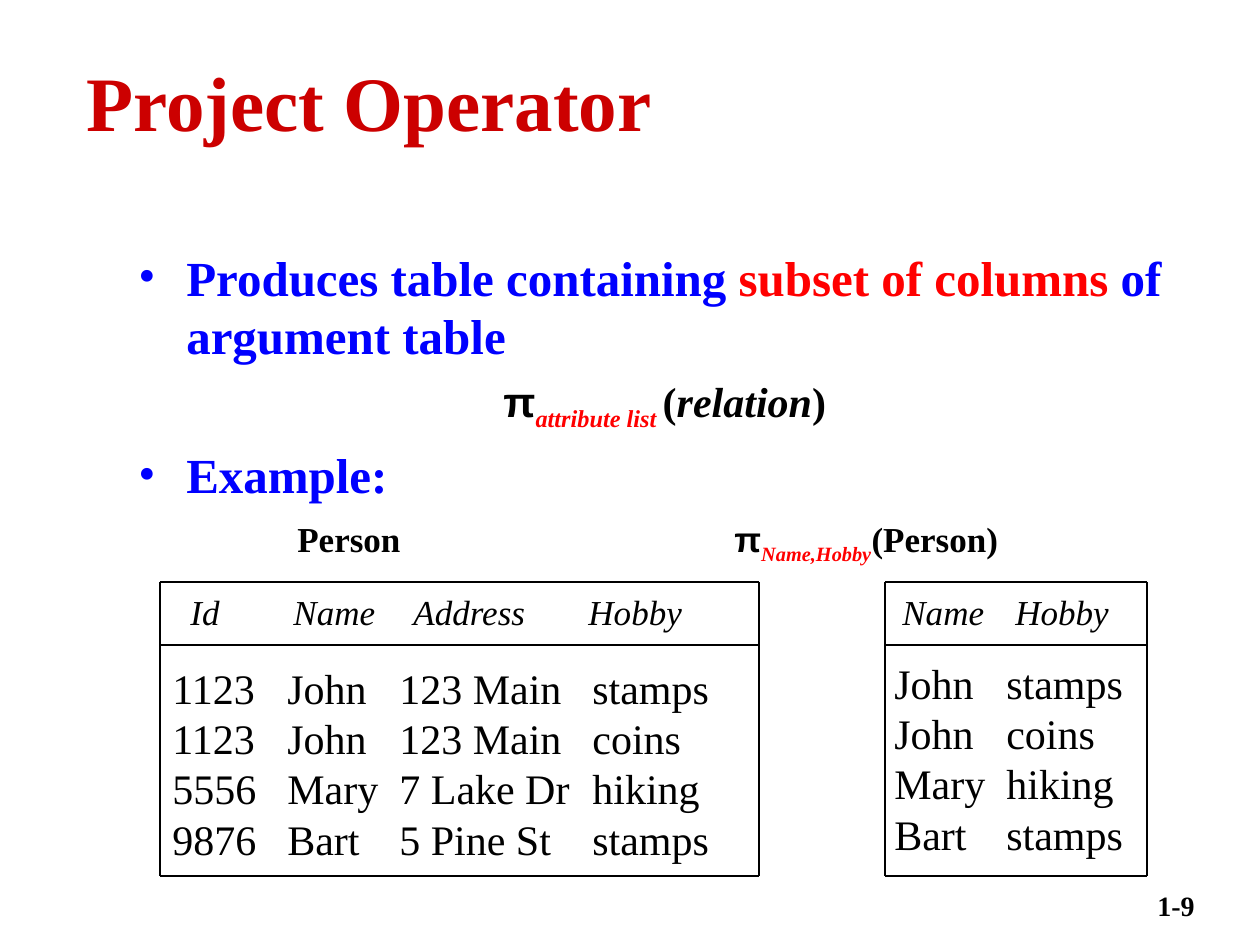
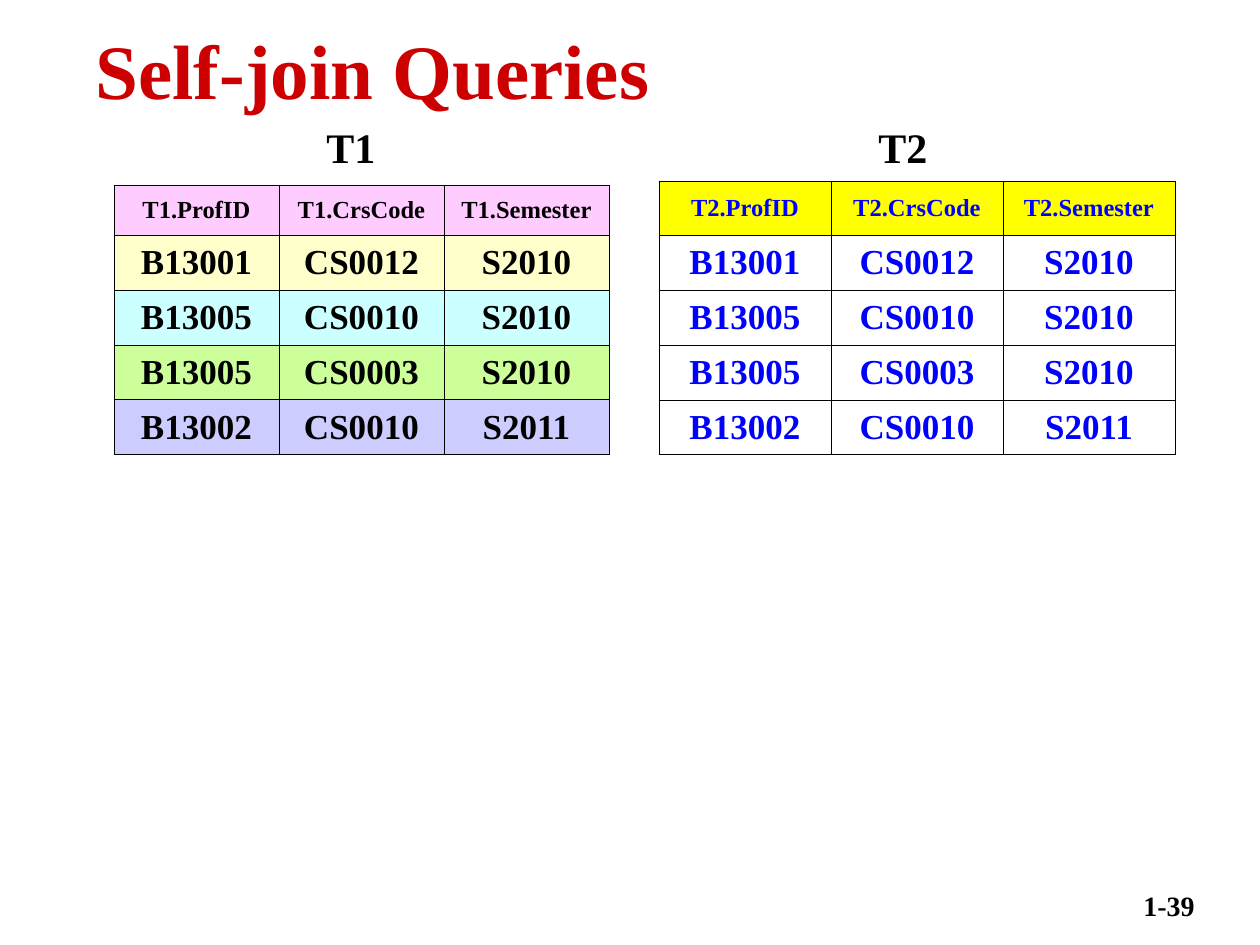
import itertools

import pptx
import pptx.dml.color
import pptx.enum.shapes
import pptx.enum.text
import pptx.oxml
import pptx.oxml.ns
import pptx.util
from lxml import etree

RGBColor = pptx.dml.color.RGBColor
ALIGN = pptx.enum.text.PP_ALIGN
BLACK = RGBColor(0x00, 0x00, 0x00)
BLUE = RGBColor(0x00, 0x00, 0xFF)
RED = RGBColor(0xFF, 0x00, 0x00)
TITLE_RED = RGBColor(0xCC, 0x00, 0x00)
YELLOW = RGBColor(0xFF, 0xFF, 0x00)
PINK = RGBColor(0xFF, 0xCC, 0xFF)
CREAM = RGBColor(0xFF, 0xFF, 0xCC)
AQUA = RGBColor(0xCC, 0xFF, 0xFF)
LIME = RGBColor(0xCC, 0xFF, 0x99)
LILAC = RGBColor(0xCC, 0xCC, 0xFF)
SERIF = "Times New Roman"
qn = pptx.oxml.ns.qn


def px(length):
    return round(length * 914400 / 126)


def write(para, text, size=24, color=BLACK, bold=False, italic=False,
          font=SERIF, subscript=False):
    span = para.add_run()
    span.text = text
    span.font.size = pptx.util.Pt(size)
    span.font.color.rgb = color
    span.font.bold = bold
    span.font.italic = italic
    span.font.name = font
    if subscript:
        span.font._element.set("baseline", "-25000")


deck = pptx.Presentation()
deck.slide_width, deck.slide_height = px(1260), px(945)

# Titles: text, left, top, height
pages = []
for text, left, top, height in [("Project Operator", 74, 67, 68),
                                ("Self-join Queries", 83, 27, 84)]:
    page = deck.slides.add_slide(deck.slide_layouts[5])
    title = page.shapes.title
    title.left, title.top, title.width, title.height = (
        px(left), px(top), px(1123), px(height))
    frame = title.text_frame
    frame.auto_size = pptx.enum.text.MSO_AUTO_SIZE.NONE
    frame.vertical_anchor = pptx.enum.text.MSO_ANCHOR.MIDDLE
    frame.paragraphs[0].alignment = ALIGN.LEFT
    write(frame.paragraphs[0], text, size=44, color=TITLE_RED, bold=True)
    pages.append(page)
project, self_join = pages

# Body of the project slide: margin, hanging, bullet, space before, tabs, runs
bullet_format = dict(size=28, color=BLUE, bold=True)
pi_format = dict(bold=True, font="Arial")
subscript_format = dict(color=RED, bold=True, italic=True, subscript=True)
body_lines = [
    (48, -48, True, 0, (), [
        ("Produces table containing ", bullet_format),
        ("subset of columns", dict(bullet_format, color=RED)),
        (" of argument table", bullet_format)]),
    (365, 0, False, 6, (), [
        ("π", pi_format),
        ("attribute list ", subscript_format),
        ("(", dict(bold=True)),
        ("relation", dict(bold=True, italic=True)),
        (")", dict(bold=True))]),
    (48, -48, True, 7, (), [("Example:", bullet_format)]),
    (0, 0, False, 5, (159, 596), [
        ("\tPerson\t", dict(size=20, bold=True)),
        ("π", dict(pi_format, size=20)),
        ("Name,Hobby", dict(subscript_format, size=20)),
        ("(Person)", dict(size=20, bold=True))]),
]

# Text boxes: page, left, top, width, height, lines.
# Lines share the layout of the body lines.
boxes = [(project, 126, 241, 1071, 330, body_lines)]

person_rows = ["1123\tJohn\t123 Main\tstamps", "1123\tJohn\t123 Main\tcoins",
               "5556\tMary\t7 Lake Dr\thiking", "9876\tBart\t5 Pine St\tstamps"]
projected_rows = ["John\tstamps", "John\tcoins", "Mary\thiking", "Bart\tstamps"]
headings = ["\tId\tName\tAddress\tHobby\tName\tHobby"]
for page, left, top, width, height, rows, tabs, style in [
        (project, 160, 656, 598, 214, person_rows, (115, 227, 420), {}),
        (project, 882, 651, 266, 214, projected_rows, (112,), {}),
        (project, 157, 584, 990, 57, headings, (21, 124, 244, 419, 733, 846),
         dict(size=20, italic=True)),
        (self_join, 314, 115, 640, 63, ["T1\tT2"], (552,), dict(bold=True))]:
    lines = [(0, 0, False, 0, tabs, [(row, style)]) for row in rows]
    boxes.append((page, left, top, width, height, lines))

for page, left, top, width, height, lines in boxes:
    box = page.shapes.add_textbox(px(left), px(top), px(width), px(height))
    frame = box.text_frame
    frame.word_wrap = True
    for index, (margin, hanging, bullet, before, tabs, spans) in enumerate(lines):
        para = frame.add_paragraph() if index else frame.paragraphs[0]
        props = para._p.get_or_add_pPr()
        if bullet:
            shade = etree.SubElement(props, qn("a:buClr"))
            etree.SubElement(shade, qn("a:srgbClr"), val=str(BLUE))
            etree.SubElement(props, qn("a:buFont"), typeface=SERIF)
            etree.SubElement(props, qn("a:buChar"), char="•")
        # An explicit indent would override the tab stops
        if tabs:
            stops = etree.SubElement(props, qn("a:tabLst"))
            for stop in tabs:
                etree.SubElement(stops, qn("a:tab"), pos=str(px(stop)), algn="l")
        else:
            props.set("marL", str(px(margin)))
            props.set("indent", str(px(hanging)))
        para.space_before = pptx.util.Pt(before)
        if before == 5:
            para.line_spacing = 1.1
        for text, style in spans:
            write(para, text, **style)

# Frames around the two relations, with a rule under the headings
frame_rows = (582, 645, 876)
for left, right in [(160, 759), (885, 1147)]:
    rules = [(left, y, right, y) for y in frame_rows]
    rules += [(x, top, x, bottom) for x in (left, right)
              for top, bottom in itertools.pairwise(frame_rows)]
    for ends in rules:
        rule = project.shapes.add_connector(
            pptx.enum.shapes.MSO_CONNECTOR.STRAIGHT, *map(px, ends))
        rule.line.color.rgb = BLACK
        rule.line.width = pptx.util.Pt(0.75)
        etree.SubElement(rule._element.spPr, qn("a:effectLst"))

# Tables of the self-join slide
courses = [("B13001", "CS0012", "S2010"), ("B13005", "CS0010", "S2010"),
           ("B13005", "CS0003", "S2010"), ("B13002", "CS0010", "S2011")]
for name, left, top, column_width, header_height, color, fills in [
        ("T1", 114, 185, 165, 50, BLACK, (PINK, CREAM, AQUA, LIME, LILAC)),
        ("T2", 659, 181, 172, 54, BLUE, (YELLOW, None, None, None, None))]:
    header = [f"{name}.{field}" for field in ("ProfID", "CrsCode", "Semester")]
    heights = [header_height] + [55] * len(courses)
    table = self_join.shapes.add_table(
        len(heights), 3, px(left), px(top),
        px(3 * column_width), px(sum(heights))).table
    table.first_row = table.horz_banding = False
    for column in table.columns:
        column.width = px(column_width)
    for row, height, values, fill in zip(
            table.rows, heights, [header] + courses, fills):
        row.height = px(height)
        for cell, value in zip(row.cells, values):
            props = cell._tc.get_or_add_tcPr()
            for side in ("a:lnL", "a:lnR", "a:lnT", "a:lnB"):
                border = etree.SubElement(props, qn(side), w="5715")
                paint = etree.SubElement(border, qn("a:solidFill"))
                etree.SubElement(paint, qn("a:srgbClr"), val=str(BLACK))
            if fill is None:
                cell.fill.background()
            else:
                cell.fill.solid()
                cell.fill.fore_color.rgb = fill
            cell.vertical_anchor = pptx.enum.text.MSO_ANCHOR.MIDDLE
            para = cell.text_frame.paragraphs[0]
            para.alignment = ALIGN.CENTER
            write(para, value, size=14 if values is header else 20,
                  color=color, bold=True)

# Page numbers
for page, number in zip(pages, ("1-9", "1-39")):
    box = page.shapes.add_textbox(px(1086), px(882), px(121), px(63))
    box.text_frame.word_wrap = True
    para = box.text_frame.paragraphs[0]
    para.alignment = ALIGN.RIGHT
    write(para, number, size=16, bold=True)

deck.save("out.pptx")
